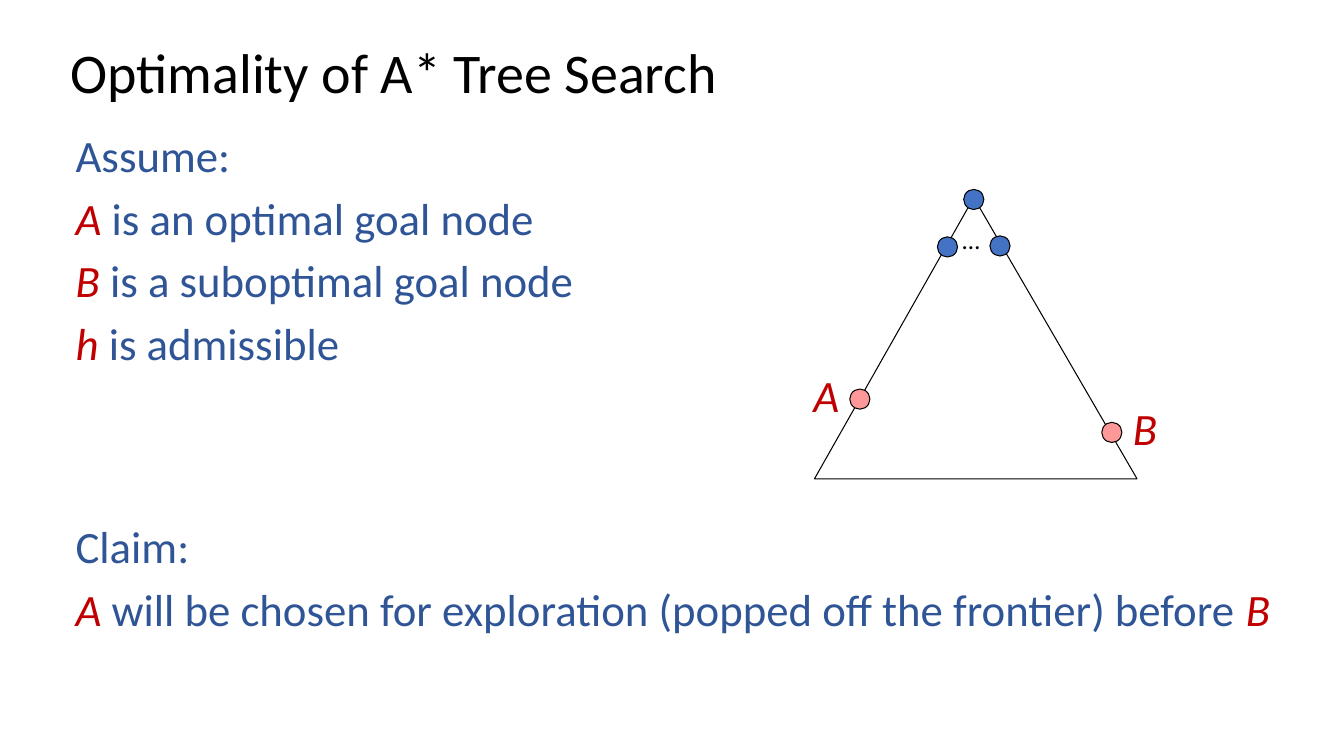
import pptx
import pptx.util
import pptx.dml.color
import pptx.enum.shapes
import pptx.enum.text
import pptx.oxml.ns
from lxml import etree

Pt = pptx.util.Pt
BLACK, NAVY, RED = "000000", "2F5597", "C00000"
BLUE, PINK = "4472C4", "FF9999"


def color(code):
    return pptx.dml.color.RGBColor.from_string(code)


def place(shape, box):
    shape.left, shape.top, shape.width, shape.height = map(Pt, box)


def style(run, size, code, slant=False):
    run.font.name = "Calibri"
    run.font.size = Pt(size)
    run.font.italic = slant
    run.font.color.rgb = color(code)


def outline(shape):
    shape.shadow.inherit = False
    shape.line.color.rgb = color(BLACK)
    shape.line.width = Pt(0.75)


# Title
def add_title(slide, box):
    title = slide.shapes.title
    place(title, box)
    frame = title.text_frame
    frame.text = "Optimality of A* Tree Search"
    frame.auto_size = pptx.enum.text.MSO_AUTO_SIZE.NONE
    frame.vertical_anchor = pptx.enum.text.MSO_ANCHOR.MIDDLE
    para = frame.paragraphs[0]
    para.alignment = pptx.enum.text.PP_ALIGN.LEFT
    para.line_spacing = 0.9
    style(para.runs[0], 40, BLACK)


# Assumptions and claim: (space before, runs), with node names in red
def add_body(slide, box):
    lines = [
        (0, ["Assume:"]),
        (10, ["A", " is an optimal goal node"]),
        (10, ["B", " is a suboptimal goal node"]),
        (10, ["h", " is admissible"]),
        (111, ["Claim:"]),
        (10, ["A", " will be chosen for exploration (popped off the frontier) before ", "B"]),
    ]
    body = slide.placeholders[1]
    place(body, box)
    frame = body.text_frame
    frame.auto_size = pptx.enum.text.MSO_AUTO_SIZE.NONE
    for num, (gap, parts) in enumerate(lines):
        para = frame.add_paragraph() if num else frame.paragraphs[0]
        props = para._p.get_or_add_pPr()
        props.set("marL", "0")
        props.set("indent", "0")
        etree.SubElement(props, pptx.oxml.ns.qn("a:buNone"))
        para.line_spacing = 0.9
        para.space_before = Pt(gap)
        for part in parts:
            run = para.add_run()
            run.text = part
            name = len(part) == 1
            style(run, 32, RED if name else NAVY, name)


def add_label(slide, box, text, size, code, slant, wrap):
    label = slide.shapes.add_textbox(*map(Pt, box))
    label.text_frame.word_wrap = wrap
    label.text_frame.text = text
    style(label.text_frame.paragraphs[0].runs[0], size, code, slant)


# Search tree: triangle, nodes and labels
def add_tree(slide, box):
    left, top, wide, high = box
    peak = left + 113.8
    form = slide.shapes.build_freeform(Pt(left), Pt(top + high))
    form.add_line_segments([(Pt(left + wide), Pt(top + high)), (Pt(peak), Pt(top))])
    edge = form.convert_to_shape()
    edge.fill.background()
    outline(edge)

    nodes = [(87.8, 28.1, BLUE), (125.3, 27.4, BLUE), (106.6, -5.8, BLUE),
             (205.2, 160.6, PINK), (25.2, 136.8, PINK)]
    for x, y, code in nodes:
        node = slide.shapes.add_shape(pptx.enum.shapes.MSO_SHAPE.OVAL,
                                      Pt(left + x), Pt(top + y), Pt(14.4), Pt(14.4))
        node.fill.solid()
        node.fill.fore_color.rgb = color(code)
        outline(node)

    add_label(slide, (left + 98.6, top + 15.8, 21.6, 28.8), "…", 18, BLACK, False, True)
    for x, y, text in [(-7.9, 118.1, "A"), (220.3, 141.8, "B")]:
        add_label(slide, (left + x, top + y, 33, 46), text, 32, RED, True, False)


def main():
    deck = pptx.Presentation()
    deck.slide_width, deck.slide_height = Pt(960), Pt(540)
    slide = deck.slides.add_slide(deck.slide_layouts[1])
    add_title(slide, (43.2, 28.8, 828, 49.7))
    add_body(slide, (46.8, 92.2, 892, 356.4))
    add_tree(slide, (581.8, 141.1, 230.4, 200.9))
    deck.save("out.pptx")


if __name__ == "__main__":
    main()
